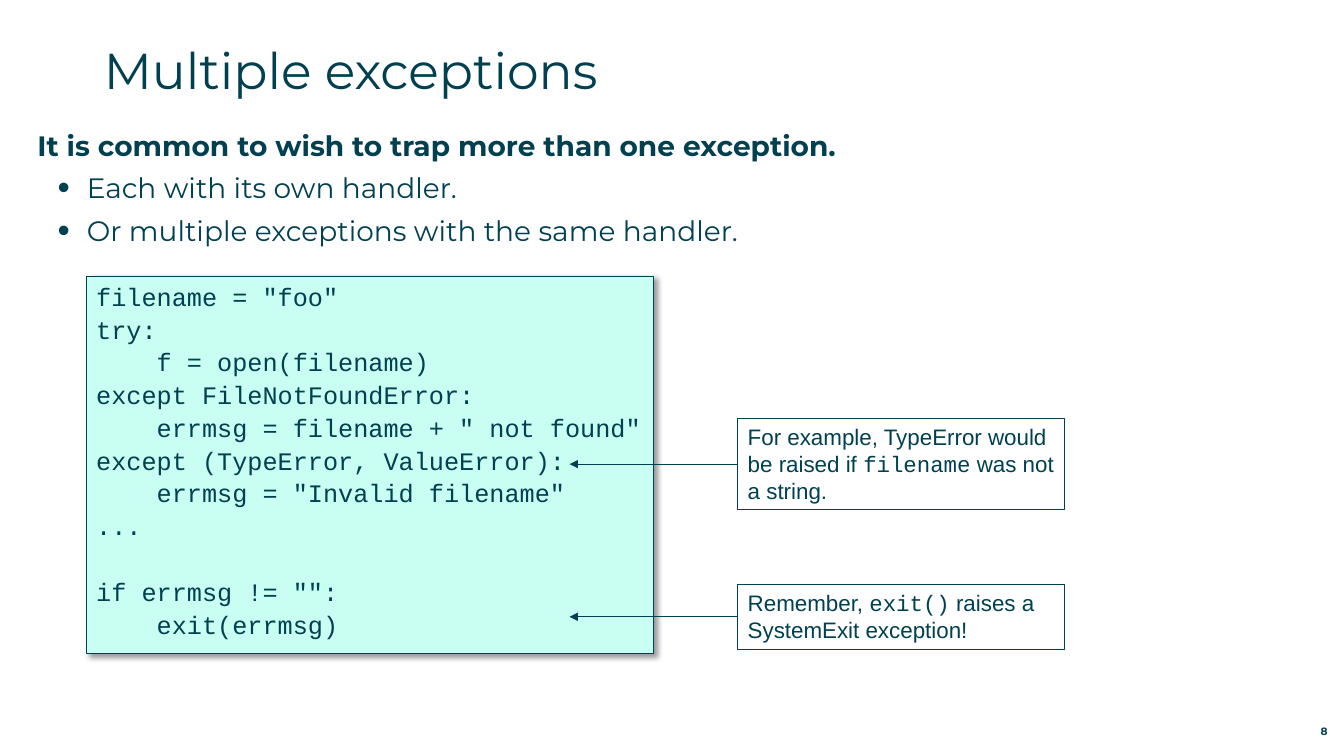
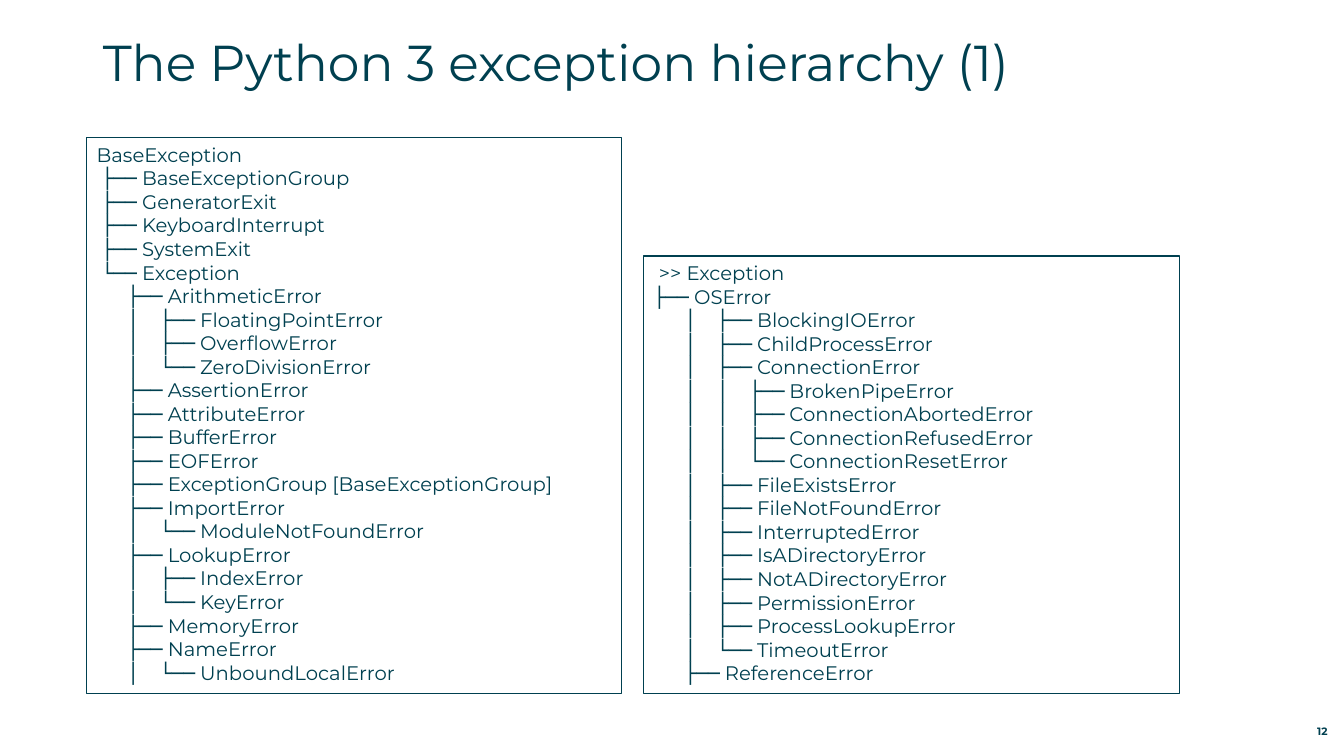
from lxml.etree import SubElement as Sub
from pptx import Presentation
from pptx.dml.color import RGBColor as Rgb
from pptx.enum.shapes import MSO_CONNECTOR as Conn, MSO_SHAPE as Shape
from pptx.enum.text import MSO_ANCHOR as Anchor, MSO_AUTO_SIZE as Fit, PP_ALIGN as Align
from pptx.oxml.ns import qn
from pptx.util import Inches, Pt

COLORS = {"ink": "004050", "mint": "C8FFF2", "shade": "000000"}
HEAD, SANS, MONO = "Montserrat", "Arial", "Courier New"

CODE = """\
filename = "foo"
try:
    f = open(filename)
except FileNotFoundError:
    errmsg = filename + " not found"
except (TypeError, ValueError):
    errmsg = "Invalid filename"
...
if errmsg != "":
    exit(errmsg)"""

BASE_TREE = """\
BaseException
 ├── BaseExceptionGroup
 ├── GeneratorExit
 ├── KeyboardInterrupt
 ├── SystemExit
 └── Exception
      ├── ArithmeticError
      │    ├── FloatingPointError
      │    ├── OverflowError
      │    └── ZeroDivisionError
      ├── AssertionError
      ├── AttributeError
      ├── BufferError
      ├── EOFError
      ├── ExceptionGroup [BaseExceptionGroup]
      ├── ImportError
      │    └── ModuleNotFoundError
      ├── LookupError
      │    ├── IndexError
      │    └── KeyError
      ├── MemoryError
      ├── NameError
      │    └── UnboundLocalError"""

OS_TREE = """\
 >> Exception
├── OSError
      │    ├── BlockingIOError
      │    ├── ChildProcessError
      │    ├── ConnectionError
      │    │    ├── BrokenPipeError
      │    │    ├── ConnectionAbortedError
      │    │    ├── ConnectionRefusedError
      │    │    └── ConnectionResetError
      │    ├── FileExistsError
      │    ├── FileNotFoundError
      │    ├── InterruptedError
      │    ├── IsADirectoryError
      │    ├── NotADirectoryError
      │    ├── PermissionError
      │    ├── ProcessLookupError
      │    └── TimeoutError
      ├── ReferenceError"""


class Deck:
    """Holds the style and the current slide; lengths are percent of its size."""

    def __init__(self):
        self.prs = Presentation()
        self.prs.slide_width, self.prs.slide_height = Inches(13.33), Inches(7.5)

    def x(self, share):
        return round(self.prs.slide_width * share / 100)

    def y(self, share):
        return round(self.prs.slide_height * share / 100)

    def area(self, left, top, width, height):
        return self.x(left), self.y(top), self.x(width), self.y(height)

    def color(self, name):
        return Rgb.from_string(COLORS[name])

    def font(self, run, size, face, bold=False):
        run.font.size, run.font.name, run.font.bold = Pt(size), face, bold
        run.font.color.rgb = self.color("ink")

    def style(self, frame, size, face, bold=False, align=Align.LEFT):
        for para in frame.paragraphs:
            para.alignment = align
            for run in para.runs:
                self.font(run, size, face, bold)

    def place(self, shape, *area):
        """Move a text holder and clear its insets."""
        shape.left, shape.top, shape.width, shape.height = self.area(*area)
        frame = shape.text_frame
        frame.margin_left = frame.margin_right = 0
        frame.margin_top = frame.margin_bottom = 0
        frame.word_wrap, frame.auto_size = True, Fit.NONE
        frame.vertical_anchor = Anchor.TOP
        return frame

    def slide(self, layout, title, left, top, page):
        self.page = self.prs.slides.add_slide(self.prs.slide_layouts[layout])
        frame = self.place(self.page.shapes.title, left, top, 92, 11.73)
        frame.text = title
        self.style(frame, 36, HEAD)
        # Page number
        area = 92.33, 94.93, 6.45, 2.67
        foot = self.place(self.page.shapes.add_textbox(*self.area(*area)), *area)
        foot.vertical_anchor = Anchor.BOTTOM
        foot.text = str(page)
        self.style(foot, 7.6, HEAD, True, Align.RIGHT)

    def list(self, lead, items):
        frame = self.place(self.page.placeholders[1], 2.78, 16.93, 94.4, 72.27)
        frame.text = "\n".join([lead, *items])
        for row, para in enumerate(frame.paragraphs):
            props = para._p.get_or_add_pPr()
            para.space_before, para.space_after = Pt(0), Pt(6.5)
            if row:
                para.level = 1
                props.set("marL", str(Inches(0.49)))
                props.set("indent", str(Inches(-0.29)))
                Sub(props, qn("a:buSzPct"), val="125000")
                Sub(props, qn("a:buChar"), char="•")
            else:
                props.set("marL", "0")
                props.set("indent", "0")
                Sub(props, qn("a:buNone"))
        self.style(frame, 20, HEAD)
        frame.paragraphs[0].runs[0].font.bold = True

    def box(self, text, *area, size=14, face=HEAD, fill=None):
        shape = self.page.shapes.add_shape(Shape.RECTANGLE, *self.area(*area))
        shape.shadow.inherit = False
        shape.line.color.rgb, shape.line.width = self.color("ink"), Pt(0.75)
        if fill:
            shape.fill.solid()
            shape.fill.fore_color.rgb = self.color(fill)
        else:
            shape.fill.background()
        frame = shape.text_frame
        frame.word_wrap, frame.vertical_anchor = True, Anchor.TOP
        frame.text = text
        self.style(frame, size, face)
        return shape

    def code(self, text, *area, part):
        """Code panel; the line numbered part starts a new section."""
        shape = self.box(text, *area, size=18, face=MONO, fill="mint")
        frame = shape.text_frame
        frame.word_wrap = False
        for row, para in enumerate(frame.paragraphs):
            if row:
                para.space_before = Pt(25.2 if row == part else 1.8)
        # Soft shadow
        glow = shape._element.spPr.find(qn("a:effectLst"))
        shade = Sub(glow, qn("a:outerShdw"), blurRad=str(Pt(4)), dist=str(Pt(3)),
                    dir="2700000", algn="tl", rotWithShape="0")
        tint = Sub(shade, qn("a:srgbClr"), val=COLORS["shade"])
        Sub(tint, qn("a:alpha"), val="40000")

    def note(self, text, top, height, tip):
        """Note with an arrow to tip; words between backticks are code."""
        shape = self.box("", 54.9, top, 24.3, height)
        para = shape.text_frame.paragraphs[0]
        para.alignment = Align.LEFT
        for i, part in enumerate(text.split("`")):
            run = para.add_run()
            run.text = part
            self.font(run, 16, MONO if i % 2 else SANS)
        mid = shape.top + shape.height // 2
        arrow = self.page.shapes.add_connector(
            Conn.STRAIGHT, shape.left, mid, self.x(tip), mid)
        arrow.begin_connect(shape, 1)
        arrow.line.color.rgb, arrow.line.width = self.color("ink"), Pt(0.75)
        Sub(arrow.line._get_or_add_ln(), qn("a:tailEnd"), type="triangle")
        Sub(arrow._element.spPr, qn("a:effectLst"))

    def tree(self, text, left, top):
        self.box(text, left, top, 39.83, 91.8 - top)


def main():
    deck = Deck()

    # Several exceptions in one try block
    deck.slide(1, "Multiple exceptions", 7.72, 5.2, 8)
    deck.list("It is common to wish to trap more than one exception.",
              ["Each with its own handler.",
               "Or multiple exceptions with the same handler."])
    deck.code(CODE, 6.42, 36.53, 42.2, 49.87, part=8)
    deck.note("For example, TypeError would be raised if `filename` was not a string.",
              55.33, 12.13, 42.38)
    deck.note("Remember, `exit()` raises a SystemExit exception!", 77.33, 8.53, 42.38)

    # Exception hierarchy
    deck.slide(5, "The Python 3 exception hierarchy (1)", 7.65, 4.13, 12)
    deck.tree(BASE_TREE, 6.45, 18.23)
    deck.tree(OS_TREE, 47.9, 33.87)

    deck.prs.save("out.pptx")


if __name__ == "__main__":
    main()
